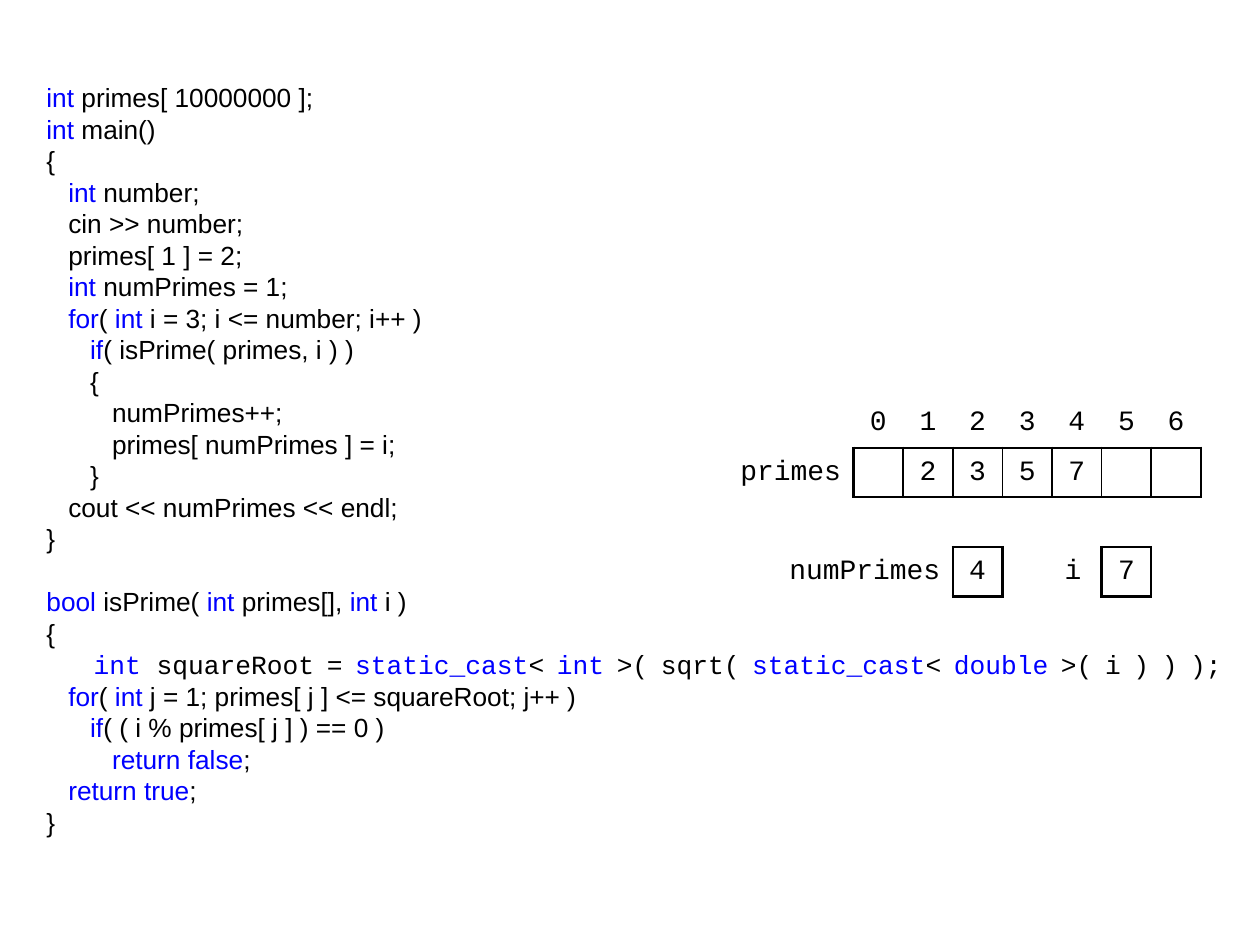
from dataclasses import dataclass

from lxml.etree import SubElement
from pptx import Presentation
from pptx.dml.color import RGBColor
from pptx.enum.text import MSO_ANCHOR as Anchor, PP_ALIGN as Align
from pptx.oxml.ns import qn
from pptx.util import Cm, Inches, Pt

BLACK, BLUE = "000000", "0000FF"
SANS, MONO = "Arial", "Courier New"
CODE_SIZE, GAP_SIZE, TABLE_SIZE = 15, 12, 16
LINE_STEP = Pt(18)
INDENT = Pt(12.5)
UNIT = Cm(1)  # side of one array box
GRID_LEFT, GRID_TOP = Inches(5.79), Inches(3.16)
OUTER, INNER = 1.5, 1
NO_STYLE = "{2D5ABB26-0587-4C30-8999-92F81FD0307C}"


@dataclass
class Line:
    """A code line: bars enclose keywords, a tilde is a narrow space."""
    level: float
    text: str
    font: str = SANS
    gap_before: int = 0


@dataclass
class Variable:
    """A labelled row of boxes, placed in grid units, with optional indices."""
    column: float
    row: float
    label_width: float
    label_align: Align
    rows: list[list[str]]


CODE = [
    Line(0, "|int| primes[ 10000000 ];"),
    Line(0, "|int |main()"),
    Line(0, "{"),
    Line(1, "|int| number;"),
    Line(1, "cin >> number;"),
    Line(1, "primes[ 1 ] = 2;"),
    Line(1, "|int |numPrimes = 1;"),
    Line(1, "|for|( |int| i = 3; i <= number; i++ )"),
    Line(2, "|if|( isPrime( primes, i ) )"),
    Line(2, "{"),
    Line(3, "numPrimes++;"),
    Line(3, "primes[ numPrimes ] = i;"),
    Line(2, "}"),
    Line(1, "cout << numPrimes << endl;"),
    Line(0, "}"),
    Line(0, "|bool |isPrime( |int |primes[], |int |i )", gap_before=1),
    Line(0, "{"),
    Line(2.16, "|int |squareRoot~=~|static_cast|<~|int|~>(~sqrt(~"
               "|static_cast|<~|double|~>(~i~)~)~);", MONO),
    Line(1, "|for|( |int| j = 1; primes[ j ] <= squareRoot; j++ )"),
    Line(2, "|if|( ( i % primes[ j ] ) == 0 )"),
    Line(3, "|return false|;"),
    Line(1, "|return true|;"),
    Line(0, "}"),
]

VARIABLES = [
    Variable(0, 0, 2.5, Align.RIGHT, [["", *"0123456"],
                                      ["primes", "", *"2357", "", ""]]),
    Variable(1, 3, 3.5, Align.RIGHT, [["numPrimes", "4"]]),
    Variable(6.5, 3, 1, Align.CENTER, [["i", "7"]]),
]


def set_all(target, values: dict) -> None:
    """Set every attribute named in a dict of format values."""
    for name, value in values.items():
        setattr(target, name, value)


def add_run(paragraph, text: str, font: str, size: float, color: str = BLACK) -> None:
    """Append one formatted run."""
    run = paragraph.add_run()
    run.text = text
    set_all(run.font, {"name": font, "size": Pt(size)})
    run.font.color.rgb = RGBColor.from_string(color)


def write_line(paragraph, line: Line) -> None:
    """Write a code line with coloured keywords and an indent."""
    set_all(paragraph, {"line_spacing": LINE_STEP,
                        "space_before": line.gap_before * LINE_STEP})
    properties = paragraph._p.get_or_add_pPr()
    properties.set("marL", str(int(line.level * INDENT)))
    properties.set("indent", "0")
    for number, part in enumerate(line.text.split("|")):
        color = BLUE if number % 2 else BLACK
        for index, piece in enumerate(part.split("~")):
            if index:
                add_run(paragraph, " ", line.font, GAP_SIZE)
            if piece:
                add_run(paragraph, piece, line.font, CODE_SIZE, color)


def add_code(slide) -> None:
    """Add the program listing."""
    box = slide.shapes.add_textbox(*map(Inches, (0.27, 0.6, 9.45, 6.1)))
    frame = box.text_frame
    set_all(frame, {"word_wrap": True, "margin_right": 0})
    for index, line in enumerate(CODE):
        write_line(frame.add_paragraph() if index else frame.paragraphs[0], line)


def draw_box(cell, first: bool, last: bool) -> None:
    """Outline an array box, thinner where it meets a neighbour."""
    widths = {"L": OUTER if first else INNER, "R": OUTER if last else INNER,
              "T": OUTER, "B": OUTER}
    for side, width in widths.items():
        border = SubElement(cell._tc.get_or_add_tcPr(), qn(f"a:ln{side}"), w=str(Pt(width)))
        SubElement(SubElement(border, qn("a:solidFill")), qn("a:srgbClr"), val=BLACK)


def add_variable(slide, variable: Variable) -> None:
    """Add one variable as a table of a label and boxes."""
    row_count, column_count = len(variable.rows), len(variable.rows[0])
    width = variable.label_width + column_count - 1
    frame = slide.shapes.add_table(
        row_count, column_count,
        int(GRID_LEFT + variable.column * UNIT), int(GRID_TOP + variable.row * UNIT),
        int(width * UNIT), row_count * UNIT)
    table = frame.table
    set_all(table, {"first_row": False, "horz_banding": False})
    table._tbl.tblPr.find(qn("a:tableStyleId")).text = NO_STYLE
    for index, column in enumerate(table.columns):
        column.width = UNIT if index else int(variable.label_width * UNIT)
    for row_index, texts in enumerate(variable.rows):
        table.rows[row_index].height = UNIT
        for index, text in enumerate(texts):
            cell = table.cell(row_index, index)
            set_all(cell, {"vertical_anchor": Anchor.MIDDLE, "margin_top": 0,
                           "margin_bottom": 0, "margin_left": Inches(0.1 if index else 0.04)})
            if index and row_index == row_count - 1:
                draw_box(cell, index == 1, index == column_count - 1)
            cell.fill.background()
            paragraph = cell.text_frame.paragraphs[0]
            paragraph.alignment = Align.CENTER if index else variable.label_align
            if text:
                add_run(paragraph, text, MONO, TABLE_SIZE)


def main() -> None:
    """Build and save the slide."""
    presentation = Presentation()
    set_all(presentation, {"slide_width": Inches(10), "slide_height": Inches(7.5)})
    slide = presentation.slides.add_slide(presentation.slide_layouts[6])
    add_code(slide)
    for variable in VARIABLES:
        add_variable(slide, variable)
    presentation.save("out.pptx")


main()
